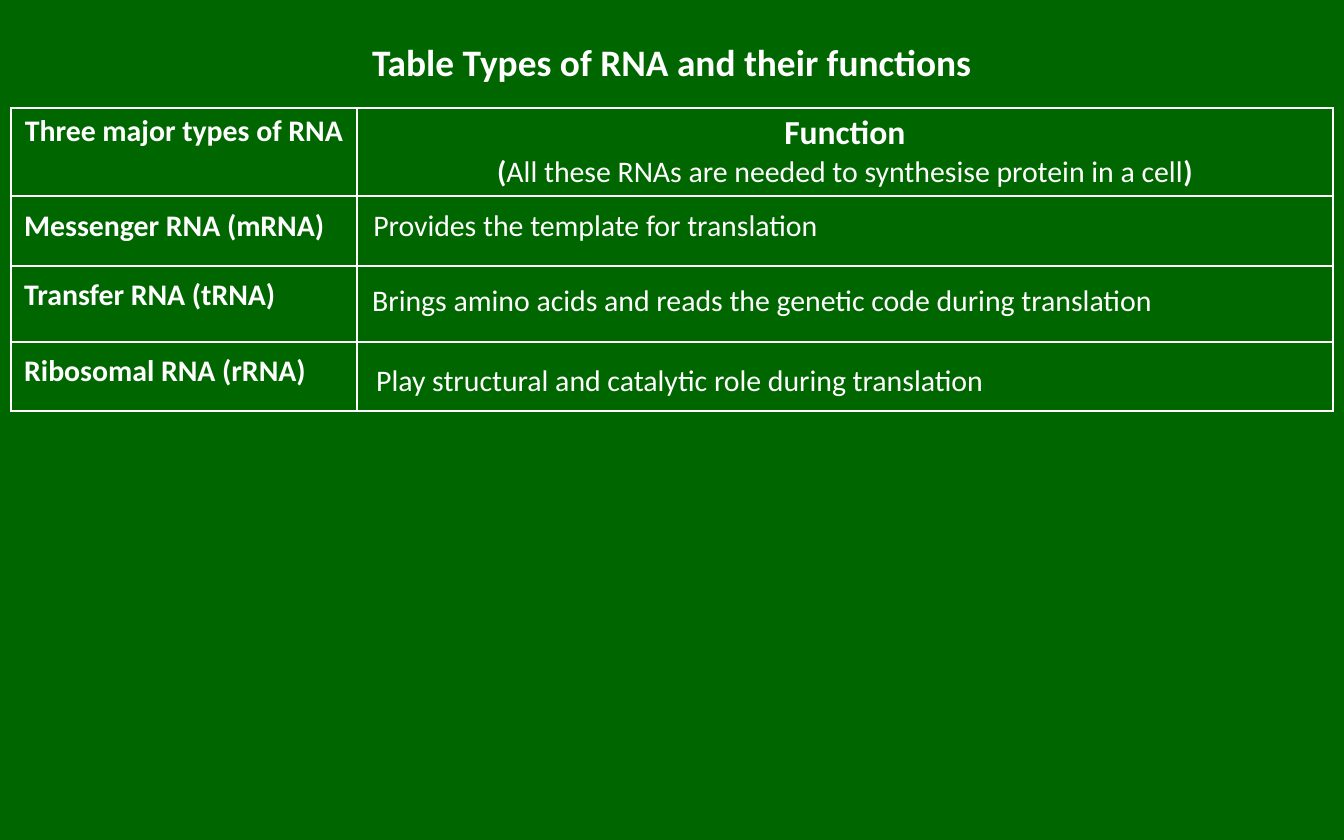
from dataclasses import dataclass

from lxml import etree
from pptx import Presentation
from pptx.dml.color import RGBColor
from pptx.enum.text import MSO_ANCHOR, PP_ALIGN
from pptx.oxml.ns import qn
from pptx.util import Inches, Pt

CENTER, LEFT = PP_ALIGN.CENTER, PP_ALIGN.LEFT
TOP, MIDDLE = MSO_ANCHOR.TOP, MSO_ANCHOR.MIDDLE
PIXELS_PER_INCH = 134.4


@dataclass(frozen=True)
class Theme:
    background: str = "006600"
    foreground: str = "FFFFFF"
    font: str = "Calibri"
    title_size: int = 20
    heading_size: int = 18
    body_size: int = 16
    border_width: int = 1


THEME = Theme()
SLIDE_SIZE = (1344, 840)

TITLE = "Table Types of RNA and their functions"
TITLE_BOX = (67, 17, 1210, 90)

TABLE_LEFT, TABLE_TOP = 11, 108
COLUMN_WIDTHS = (346, 976)
ROW_HEIGHTS = (88, 70, 76, 69)
CELL_MARGINS = (11, 5)

HEADERS = [
    [[("Three major types of RNA", THEME.body_size, True)]],
    [
        [("Function", THEME.heading_size, True)],
        [
            ("(", THEME.body_size, True),
            ("All these RNAs are needed to synthesise protein in a cell", THEME.body_size, False),
            (")", THEME.body_size, True),
        ],
    ],
]

LABEL_HEIGHT = 50
LABELS = [
    ("Messenger RNA (mRNA)", True, 11, 200, 331),
    ("Transfer RNA (tRNA)", True, 11, 269, 282),
    ("Ribosomal RNA (rRNA)", True, 11, 345, 324),
    ("Provides the template for translation", False, 360, 200, 477),
    ("Brings amino acids and reads the genetic code during translation", False, 359, 275, 960),
    ("Play structural and catalytic role during translation", False, 363, 355, 672),
]


def px(length):
    return Inches(length / PIXELS_PER_INCH)


def write_paragraphs(text_frame, paragraphs, alignment):
    for index, runs in enumerate(paragraphs):
        paragraph = text_frame.paragraphs[0] if index == 0 else text_frame.add_paragraph()
        paragraph.alignment = alignment
        for text, size, bold in runs:
            run = paragraph.add_run()
            run.text = text
            run.font.name = THEME.font
            run.font.size = Pt(size)
            run.font.bold = bold
            run.font.color.rgb = RGBColor.from_string(THEME.foreground)


def add_text(slide, box, text, size, bold, alignment=LEFT, anchor=TOP):
    text_frame = slide.shapes.add_textbox(*map(px, box)).text_frame
    text_frame.word_wrap = True
    text_frame.vertical_anchor = anchor
    write_paragraphs(text_frame, [[(text, size, bold)]], alignment)


def format_cell(cell):
    horizontal, vertical = map(px, CELL_MARGINS)
    cell.margin_left = cell.margin_right = horizontal
    cell.margin_top = cell.margin_bottom = vertical
    properties = cell._tc.get_or_add_tcPr()
    for side in ("a:lnL", "a:lnR", "a:lnT", "a:lnB"):
        line = etree.SubElement(properties, qn(side), w=str(Pt(THEME.border_width)))
        fill = etree.SubElement(line, qn("a:solidFill"))
        etree.SubElement(fill, qn("a:srgbClr"), val=THEME.foreground)
    cell.fill.background()


def add_rna_table(slide):
    table = slide.shapes.add_table(
        len(ROW_HEIGHTS), len(COLUMN_WIDTHS), px(TABLE_LEFT), px(TABLE_TOP),
        px(sum(COLUMN_WIDTHS)), px(sum(ROW_HEIGHTS)),
    ).table
    table.first_row = table.horz_banding = False
    for column, width in zip(table.columns, COLUMN_WIDTHS):
        column.width = px(width)
    for row, height in zip(table.rows, ROW_HEIGHTS):
        row.height = px(height)
    for cell in table.iter_cells():
        format_cell(cell)
    for cell, paragraphs in zip(table.rows[0].cells, HEADERS):
        write_paragraphs(cell.text_frame, paragraphs, CENTER)


def main():
    presentation = Presentation()
    presentation.slide_width, presentation.slide_height = map(px, SLIDE_SIZE)
    slide = presentation.slides.add_slide(presentation.slide_layouts[6])
    background = slide.background.fill
    background.solid()
    background.fore_color.rgb = RGBColor.from_string(THEME.background)

    add_text(slide, TITLE_BOX, TITLE, THEME.title_size, True, CENTER, MIDDLE)
    add_rna_table(slide)
    for text, bold, left, top, width in LABELS:
        add_text(slide, (left, top, width, LABEL_HEIGHT), text, THEME.body_size, bold)
    presentation.save("out.pptx")


if __name__ == "__main__":
    main()
